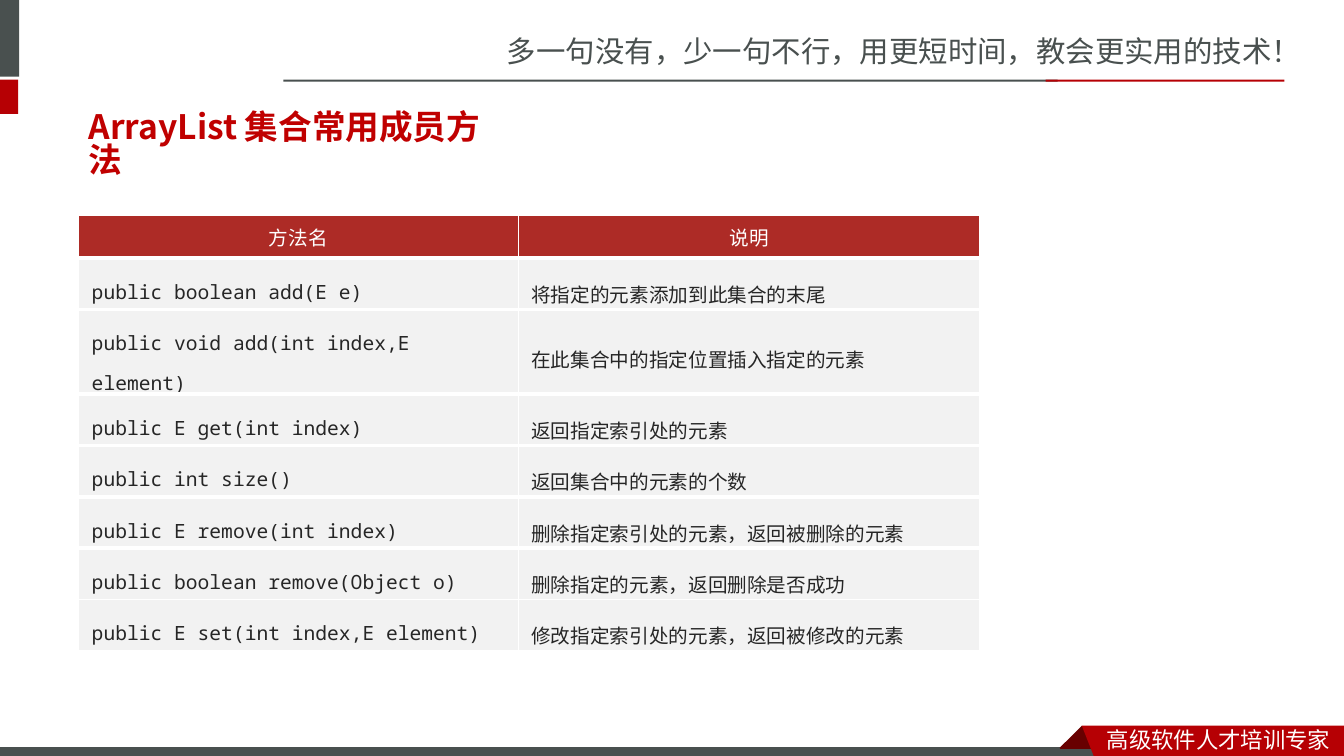
from typing import NamedTuple

from lxml import etree
from pptx import Presentation
from pptx import util as u
from pptx.dml.color import RGBColor
from pptx.enum import shapes, text
from pptx.oxml.ns import qn

PX = 9144  # EMU per px, 100 px to the inch

WHITE = RGBColor(0xFF, 0xFF, 0xFF)
GREY = RGBColor(0x49, 0x50, 0x4F)
RED = RGBColor(0xB6, 0x00, 0x04)
DARK_RED = RGBColor(0x68, 0x00, 0x00)
TITLE_RED = RGBColor(0xC0, 0x00, 0x00)
HEADER_RED = RGBColor(0xAD, 0x2B, 0x26)
CELL_GREY = RGBColor(0xF2, 0xF2, 0xF2)
INK = RGBColor(0x26, 0x26, 0x26)

SANS = "Noto Sans CJK SC"
TITLE_FONT = "Noto Sans CJK JP"
MONO = "Noto Sans Mono"


class Box(NamedTuple):
    left: int
    top: int
    width: int
    height: int


class Bar(NamedTuple):
    box: Box
    fill: RGBColor
    outlined: bool = False


class Ribbon(NamedTuple):
    points: list[tuple[int, int]]
    fill: RGBColor


class Label(NamedTuple):
    box: Box
    words: str
    size: int


class Method(NamedTuple):
    signature: str
    meaning: str


BARS = [
    Bar(Box(-6, 0, 25, 76), GREY),
    Bar(Box(-6, 79, 24, 34), RED),
    Bar(Box(281, 79, 768, 2), GREY),
    Bar(Box(1037, 79, 237, 2), RED),
    Bar(Box(-1, 741, 1100, 12), GREY, outlined=True),
]
RIBBONS = [
    Ribbon([(1073, 720), (1095, 742), (1094, 743), (1052, 743), (1051, 742)], DARK_RED),
    Ribbon([(1073, 720), (1333, 720), (1333, 754), (1086, 753)], RED),
]
LABELS = [
    Label(Box(493, 28, 841, 47), "多一句没有，少一句不行，用更短时间，教会更实用的技术！", 21),
    Label(Box(1088, 715, 245, 37), "高级软件人才培训专家", 16),
]
TITLE_BOX = Box(78, 116, 429, 57)
TABLE_BOX = Box(78, 214, 894, 399)
COLUMN_WIDTHS = (436, 458)
HEADER_HEIGHT, ROW_HEIGHT = 42, 51
METHODS = [
    Method("方法名", "说明"),
    Method("public boolean add(E e)", "将指定的元素添加到此集合的末尾"),
    Method("public void add(int index,E element)", "在此集合中的指定位置插入指定的元素"),
    Method("public E get(int index)", "返回指定索引处的元素"),
    Method("public int size()", "返回集合中的元素的个数"),
    Method("public E remove(int index)", "删除指定索引处的元素，返回被删除的元素"),
    Method("public boolean remove(Object o)", "删除指定的元素，返回删除是否成功"),
    Method("public E set(int index,E element)", "修改指定索引处的元素，返回被修改的元素"),
]


def emu(box: Box) -> list[int]:
    return [length * PX for length in box]


def add_span(para, words: str, font: str, size: int, color: RGBColor,
             bold: bool = False, asian_font: str = SANS) -> None:
    span = para.add_run()
    span.text = words
    span.font.name = font
    span.font.size = u.Pt(size)
    span.font.bold = bold
    span.font.color.rgb = color
    asian = etree.SubElement(span.font._element, qn("a:ea"))
    asian.set("typeface", asian_font)


def paint(shape, fill: RGBColor, outlined: bool = False) -> None:
    shape.shadow.inherit = False
    shape.fill.solid()
    shape.fill.fore_color.rgb = fill
    if outlined:
        shape.line.color.rgb = WHITE
        shape.line.width = u.Pt(0.75)
    else:
        shape.line.fill.background()


def add_bar(page, bar: Bar) -> None:
    shape = page.shapes.add_shape(shapes.MSO_SHAPE.RECTANGLE, *emu(bar.box))
    paint(shape, bar.fill, bar.outlined)


def add_ribbon(page, ribbon: Ribbon) -> None:
    start, *others = ribbon.points
    builder = page.shapes.build_freeform(*start, scale=PX)
    builder.add_line_segments(others, close=True)
    paint(builder.convert_to_shape(), ribbon.fill)


def add_label(page, label: Label) -> None:
    frame = page.shapes.add_textbox(*emu(label.box)).text_frame
    frame.word_wrap = True
    color = WHITE if label.box.top > 700 else GREY
    add_span(frame.paragraphs[0], label.words, SANS, label.size, color)


def set_title(page) -> None:
    title = page.shapes.title
    title.left, title.top, title.width, title.height = emu(TITLE_BOX)
    frame = title.text_frame
    frame.word_wrap = True
    frame.auto_size = text.MSO_AUTO_SIZE.NONE
    frame.vertical_anchor = text.MSO_ANCHOR.MIDDLE
    para = frame.paragraphs[0]
    para.alignment = text.PP_ALIGN.LEFT
    para.line_spacing = 0.82
    add_span(para, "ArrayList 集合常用成员方法", TITLE_FONT, 24, TITLE_RED,
             bold=True, asian_font=TITLE_FONT)


def set_borders(cell, top: int, bottom: int) -> None:
    """Draw white cell borders; the sides are always 1 pt wide."""
    properties = cell._tc.get_or_add_tcPr()
    widths = {"a:lnL": 1, "a:lnR": 1, "a:lnT": top, "a:lnB": bottom}
    for position, (tag, width) in enumerate(widths.items()):
        line = etree.Element(qn(tag), w=str(u.Pt(width)))
        fill = etree.SubElement(line, qn("a:solidFill"))
        etree.SubElement(fill, qn("a:srgbClr"), val=str(WHITE))
        properties.insert(position, line)


def fill_cell(cell, words: str, is_header: bool) -> None:
    side, edge = (10, 5) if is_header else (13, 7)
    cell.margin_left = cell.margin_right = side * PX
    cell.margin_top = cell.margin_bottom = edge * PX
    cell.vertical_anchor = text.MSO_ANCHOR.MIDDLE
    cell.fill.solid()
    cell.fill.fore_color.rgb = HEADER_RED if is_header else CELL_GREY
    para = cell.text_frame.paragraphs[0]
    if is_header:
        para.alignment = text.PP_ALIGN.CENTER
    else:
        para.line_spacing = 1.5
    add_span(para, words, MONO, 14, WHITE if is_header else INK)


def add_method_table(page) -> None:
    table = page.shapes.add_table(len(METHODS), 2, *emu(TABLE_BOX)).table
    table.horz_banding = False
    for column, width in zip(table.columns, COLUMN_WIDTHS):
        column.width = width * PX
    last = len(METHODS) - 1
    for index, method in enumerate(METHODS):
        table.rows[index].height = (ROW_HEIGHT if index else HEADER_HEIGHT) * PX
        top = 1 if index in (0, last) else 3
        bottom = 1 if index >= last - 1 else 3
        for cell, words in zip(table.rows[index].cells, method):
            fill_cell(cell, words, is_header=index == 0)
            set_borders(cell, top, bottom)


def main() -> None:
    deck = Presentation()
    deck.slide_width, deck.slide_height = 1333 * PX, 750 * PX
    page = deck.slides.add_slide(deck.slide_layouts[5])
    for bar in BARS:
        add_bar(page, bar)
    for ribbon in RIBBONS:
        add_ribbon(page, ribbon)
    for label in LABELS:
        add_label(page, label)
    set_title(page)
    add_method_table(page)
    deck.save("out.pptx")


if __name__ == "__main__":
    main()
